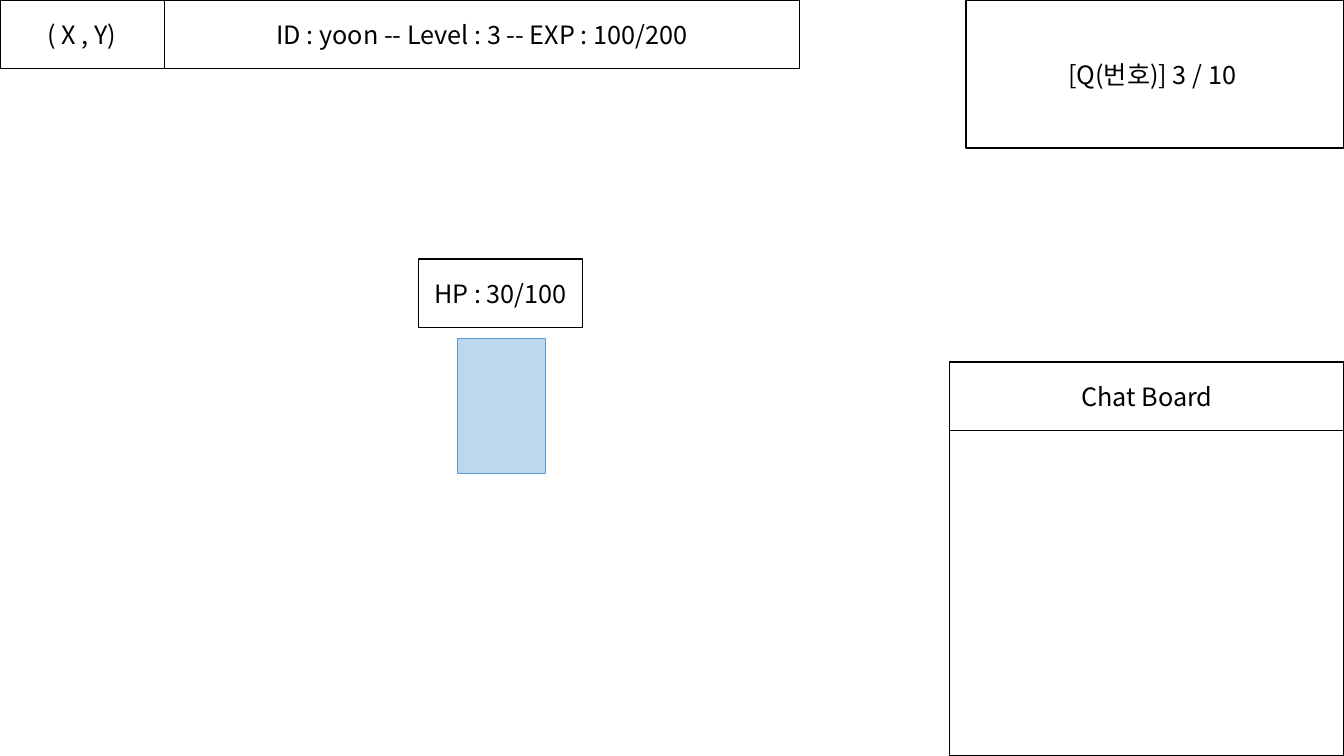
from dataclasses import dataclass

from lxml.etree import SubElement
from pptx import Presentation
from pptx.dml.color import RGBColor
from pptx.enum.shapes import MSO_SHAPE
from pptx.enum.text import MSO_ANCHOR, PP_ALIGN
from pptx.oxml.ns import qn
from pptx.util import Pt

PX = 9144  # EMU per px, 100 px to the inch
WIDE, HIGH = 1333, 750
BAR = 68  # height of every label bar
TAG = 163  # width of the small labels


@dataclass(frozen=True)
class Theme:
    font: str = "Noto Sans CJK KR"
    size: int = 18
    rule: int = 1
    ink: str = "000000"
    body: str = "BDD7EE"
    edge: str = "5B9BD5"


THEME = Theme()


def color(code):
    return RGBColor.from_string(code)


def add_run(para, text):
    run = para.add_run()
    run.text = text
    font = run.font
    font.name, font.size = THEME.font, Pt(THEME.size)
    font.color.rgb = color(THEME.ink)
    # Hangul takes the East Asian typeface
    SubElement(font._element, qn("a:ea"), typeface=THEME.font)


def add_box(slide, box, text="", fill=None, line=THEME.ink):
    shape = slide.shapes.add_shape(MSO_SHAPE.RECTANGLE, *(n * PX for n in box))
    shape.shadow.inherit = False
    shape.line.color.rgb = color(line)
    shape.line.width = Pt(THEME.rule)
    if fill:
        shape.fill.solid()
        shape.fill.fore_color.rgb = color(fill)
    else:
        shape.fill.background()
    if text:
        frame = shape.text_frame
        frame.word_wrap = True
        frame.vertical_anchor = MSO_ANCHOR.MIDDLE
        para = frame.paragraphs[0]
        para.alignment = PP_ALIGN.CENTER
        add_run(para, text)


# Top bar: position, then player status
def add_status(slide, box):
    left, top, width, height = box
    add_box(slide, (left, top, TAG, height), "( X , Y)")
    add_box(slide, (left + TAG, top, width - TAG, height),
            "ID : yoon -- Level : 3 -- EXP : 100/200")


# Quest counter
def add_quest(slide, box):
    add_box(slide, box, "[Q(번호)] 3 / 10 ")


# Chat panel with its heading
def add_chat(slide, box):
    left, top, width, _ = box
    add_box(slide, box)
    add_box(slide, (left, top, width, BAR), "Chat Board")


# Player figure below its health label
def add_player(slide, box):
    left, top, width, height = box
    gap, inset, girth = 11, 39, 87
    add_box(slide, (left, top, width, BAR), "HP : 30/100")
    add_box(slide, (left + inset, top + BAR + gap, girth, height - BAR - gap),
            fill=THEME.body, line=THEME.edge)


def main():
    deck = Presentation()
    deck.slide_width, deck.slide_height = WIDE * PX, HIGH * PX
    slide = deck.slides.add_slide(deck.slide_layouts[6])
    quest, chat = 375, 391
    add_status(slide, (0, 0, 793, BAR))
    add_quest(slide, (WIDE - quest, 0, quest, 147))
    add_chat(slide, (WIDE - chat, HIGH - chat, chat, chat))
    add_player(slide, (415, 257, TAG, 213))
    deck.save("out.pptx")


if __name__ == "__main__":
    main()
